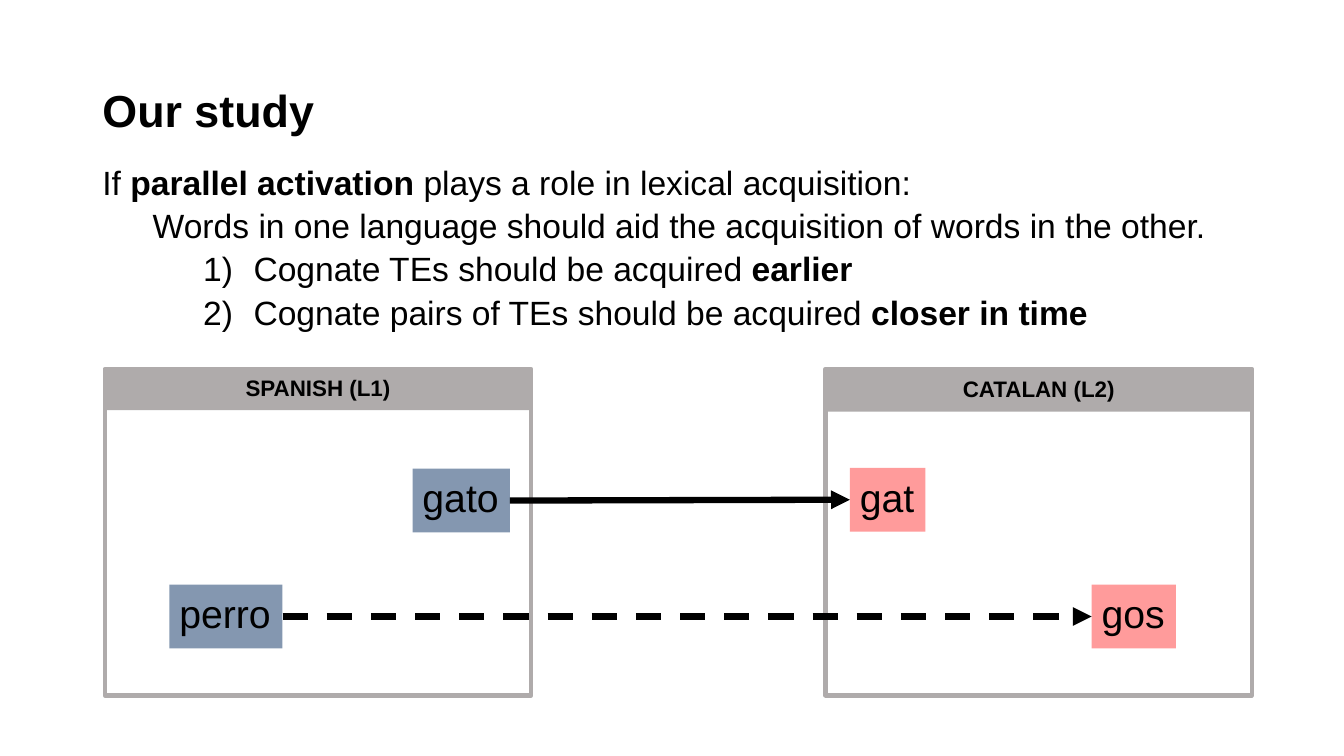
from pptx import Presentation
from pptx.dml.color import RGBColor
from pptx.enum import dml, shapes, text
from pptx.oxml import ns, xmlchemy as xml
from pptx.util import Pt

BLACK = RGBColor(0x00, 0x00, 0x00)
GREY = RGBColor(0xAF, 0xAB, 0xAB)
BLUE = RGBColor(0x84, 0x97, 0xB0)
PINK = RGBColor(0xFF, 0x9B, 0x9B)


def add(parent, tag, **attrs):
    """Append an XML child with the given attributes."""
    node = xml.OxmlElement(tag)
    for key, value in attrs.items():
        node.set(key, str(value))
    parent.append(node)


class Deck:
    """Holds the style and the current slide."""

    def __init__(self, name="Arial"):
        self.name = name
        self.prs = Presentation()
        self.prs.slide_width, self.prs.slide_height = Pt(960), Pt(540)
        self.slide = self.prs.slides.add_slide(self.prs.slide_layouts[5])

    def font(self, par, size, bold=None):
        font = par.font
        font.name, font.size, font.bold = self.name, Pt(size), bold
        font.color.rgb = BLACK

    def title(self, words, x, y, w, h):
        box = self.slide.shapes.title
        box.left, box.top, box.width, box.height = map(Pt, (x, y, w, h))
        frame = box.text_frame
        frame.text = words
        frame.vertical_anchor = text.MSO_ANCHOR.MIDDLE
        par = frame.paragraphs[0]
        par.alignment = text.PP_ALIGN.LEFT
        par.line_spacing = 0.9
        self.font(par, 32, True)

    def body(self, rows, x, y, w, h):
        """Rows are (left margin, numbered, runs); every second run is bold."""
        frame = self.slide.shapes.add_textbox(*map(Pt, (x, y, w, h))).text_frame
        frame.word_wrap = True
        for i, (left, listed, runs) in enumerate(rows):
            par = frame.add_paragraph() if i else frame.paragraphs[0]
            par.line_spacing = 0.9
            par.space_before = Pt(5 if i else 0)
            props = par._p.get_or_add_pPr()
            props.set("marL", str(Pt(left)))
            props.set("indent", str(Pt(-36 if listed else 0)))
            if listed:
                add(props, "a:buFont", typeface=self.name)
                add(props, "a:buAutoNum", type="arabicParenR")
            self.font(par, 24)
            for j, words in enumerate(runs):
                run = par.add_run()
                run.text = words
                run.font.bold = j % 2 == 1

    def rect(self, x, y, w, h, fill=None, line=None):
        box = self.slide.shapes.add_shape(
            shapes.MSO_SHAPE.RECTANGLE, *map(Pt, (x, y, w, h)))
        box.shadow.inherit = False
        if fill is None:
            box.fill.background()
        else:
            box.fill.solid()
            box.fill.fore_color.rgb = fill
        if line is None:
            box.line.fill.background()
        else:
            box.line.color.rgb = line
            box.line.width = Pt(3)
        return box

    def label(self, words, x, y, w, h, fill, size, bold=None, wrap=False):
        box = self.rect(x, y, w, h, fill)
        frame = box.text_frame
        frame.text = words
        frame.word_wrap = wrap
        frame.auto_size = text.MSO_AUTO_SIZE.SHAPE_TO_FIT_TEXT
        frame.vertical_anchor = text.MSO_ANCHOR.TOP
        par = frame.paragraphs[0]
        par.alignment = text.PP_ALIGN.CENTER if wrap else text.PP_ALIGN.LEFT
        self.font(par, size, bold)
        return box

    def arrow(self, start, end, dash=None):
        """Join the right side of one box to the left side of another."""
        link = self.slide.shapes.add_connector(
            shapes.MSO_CONNECTOR.STRAIGHT, 0, 0, 0, 0)
        link.begin_connect(start, 3)
        link.end_connect(end, 1)
        link.line.color.rgb = BLACK
        link.line.width = Pt(4.5)
        if dash:
            link.line.dash_style = dash
        props = link._element.spPr
        add(props.find(ns.qn("a:ln")), "a:tailEnd", type="triangle")
        add(props, "a:effectLst")


def main():
    deck = Deck()
    deck.title("Our study", 66, 28.75, 828, 104.4)
    deck.body([
        (0, False, ["If ", "parallel activation ",
                    "plays a role in lexical acquisition:"]),
        (36, False, ["Words in one language should aid the acquisition "
                     "of words in the other."]),
        (108, True, ["Cognate TEs should be acquired ", "earlier"]),
        (108, True, ["Cognate pairs of TEs should be acquired ",
                     "closer in time"]),
    ], 66, 115.2, 819.4, 141.8)

    panels = [("SPANISH (L1)", 74.9, 263.5), ("CATALAN (L2)", 589.7, 264.5)]
    for _, x, _ in panels:
        deck.rect(x, 263.5, 304.6, 233.3, line=GREY)

    words = {}
    for word, x, y, w, fill in [
        ("perro", 121, 417.6, 80.8, BLUE),
        ("gos", 779.8, 417.6, 60.2, PINK),
        ("gato", 294.7, 334.8, 69.6, BLUE),
        ("gat", 607.1, 334.2, 53.9, PINK),
    ]:
        words[word] = deck.label(word, x, y, w, 45.5, fill, 28)
    deck.arrow(words["perro"], words["gos"], dml.MSO_LINE.DASH)
    deck.arrow(words["gato"], words["gat"])

    for name, x, y in panels:
        deck.label(name, x, y, 304.6, 29.5, GREY, 16, bold=True, wrap=True)
    deck.prs.save("out.pptx")


if __name__ == "__main__":
    main()
